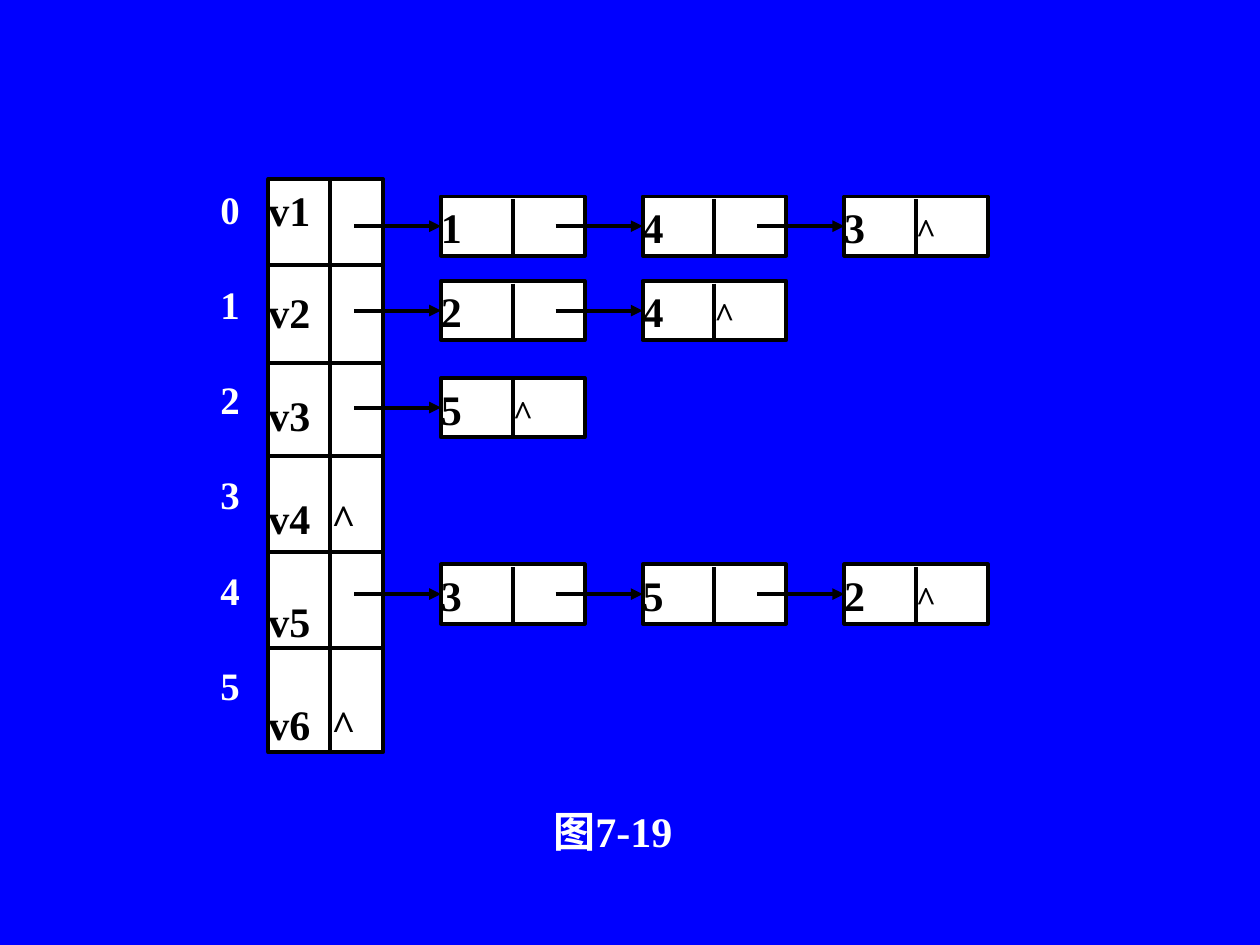
import pptx
import pptx.util
import pptx.dml.color
import pptx.enum.shapes
import pptx.enum.text
import pptx.oxml
import pptx.oxml.ns
from lxml import etree

Inches = pptx.util.Inches
Pt = pptx.util.Pt
RGBColor = pptx.dml.color.RGBColor
ALIGN = pptx.enum.text.PP_ALIGN
qn = pptx.oxml.ns.qn

BLUE = RGBColor(0x00, 0x00, 0xFF)
WHITE = RGBColor(0xFF, 0xFF, 0xFF)
BLACK = RGBColor(0x00, 0x00, 0x00)
FONT = "Times New Roman"
LINE_W = 2.25

# Content: vertices, their indexes and the adjacency lists
CAPTION = "图7-19"
INDEXES = ["0", "1", "2", "3", "4", "5"]
VERTICES = ["v1", "v2", "v3", "v4\t^", "v5", "v6\t^"]
ADJACENCY = [  # top of the row, node values
    (1.56, ["1", "4", "3"]),
    (2.23, ["2", "4"]),
    (3.00, ["5"]),
    (4.48, ["3", "5", "2"]),
]

# Geometry in inches
HEAD_X, HEAD_Y, HEAD_W, HEAD_H = 2.13, 1.42, 0.91, 4.55
HEAD_SPLIT = 2.62
ROW_LINES = [2.10, 2.88, 3.62, 4.38, 5.14]
NODE_X, NODE_STEP, NODE_W, NODE_H = 3.5, 1.6, 1.14, 0.47
ARROW_LEN = 0.69

prs = pptx.Presentation()
prs.slide_width, prs.slide_height = Inches(10), Inches(7.5)
slide = prs.slides.add_slide(prs.slide_layouts[6])
slide.background.fill.solid()
slide.background.fill.fore_color.rgb = BLUE


def write(sp, lines, size, color, align=ALIGN.JUSTIFY, gap=0, tab=None):
    tf = sp.text_frame
    tf.word_wrap = True
    tf.vertical_anchor = pptx.enum.text.MSO_ANCHOR.TOP
    tf.margin_left = tf.margin_right = tf.margin_bottom = 0
    tf.margin_top = Inches(0.04)
    tf.text = "\n".join(lines)
    for i, p in enumerate(tf.paragraphs):
        p.alignment = align
        if i:
            p.space_before = Pt(gap)
        if tab:
            tabs = etree.SubElement(p._p.get_or_add_pPr(), qn("a:tabLst"))
            etree.SubElement(tabs, qn("a:tab"), pos=str(Inches(tab)), algn="l")
        for r in p.runs:
            r.font.name, r.font.size, r.font.bold = FONT, Pt(size), True
            r.font.color.rgb = color


def add_label(x, y, w, h, lines, size, **options):
    sp = slide.shapes.add_textbox(Inches(x), Inches(y), Inches(w), Inches(h))
    write(sp, lines, size, WHITE, **options)


def add_box(x, y, w, h, lines, **options):
    sp = slide.shapes.add_shape(pptx.enum.shapes.MSO_SHAPE.RECTANGLE,
                                Inches(x), Inches(y), Inches(w), Inches(h))
    sp.shadow.inherit = False
    sp.fill.solid()
    sp.fill.fore_color.rgb = WHITE
    sp.line.color.rgb = BLACK
    sp.line.width = Pt(LINE_W)
    write(sp, lines, 24, BLACK, **options)
    return sp


def add_line(x1, y1, x2, y2, target=None):
    line = slide.shapes.add_connector(pptx.enum.shapes.MSO_CONNECTOR.STRAIGHT,
                                      Inches(x1), Inches(y1), Inches(x2), Inches(y2))
    line.line.color.rgb = BLACK
    line.line.width = Pt(LINE_W)
    etree.SubElement(line._element.spPr, qn("a:effectLst"))
    if target is not None:
        etree.SubElement(line.line._get_or_add_ln(), qn("a:tailEnd"), type="triangle")
        line.end_connect(target, 1)


# Caption
add_label(4.18, 6.35, 1.37, 0.57, [CAPTION], 24, align=ALIGN.CENTER)

# Head array with its indexes
add_box(HEAD_X, HEAD_Y, HEAD_W, HEAD_H, VERTICES, gap=30, tab=0.5)
add_line(HEAD_SPLIT, HEAD_Y, HEAD_SPLIT, HEAD_Y + HEAD_H)
for y in ROW_LINES:
    add_line(HEAD_X, y, HEAD_X + HEAD_W, y)
add_label(1.75, 1.43, 0.46, 4.34, INDEXES, 22.2, gap=27.8)

# Linked nodes, each reached by an arrow; the last one holds the null mark
for top, values in ADJACENCY:
    for i, value in enumerate(values):
        x = NODE_X + i * NODE_STEP
        last = i == len(values) - 1
        node = add_box(x, top, NODE_W, NODE_H, [value], tab=0.57 if last else None)
        if last:
            r = node.text_frame.paragraphs[0].add_run()
            r.text = "\t^"
            r.font.name, r.font.size, r.font.bold = FONT, Pt(20), True
            r.font.color.rgb = BLACK
        add_line(x + NODE_W / 2, top + 0.02, x + NODE_W / 2, top + NODE_H - 0.01)
        middle = top + NODE_H / 2
        add_line(x - ARROW_LEN, middle, x, middle, target=node)

prs.save("out.pptx")
